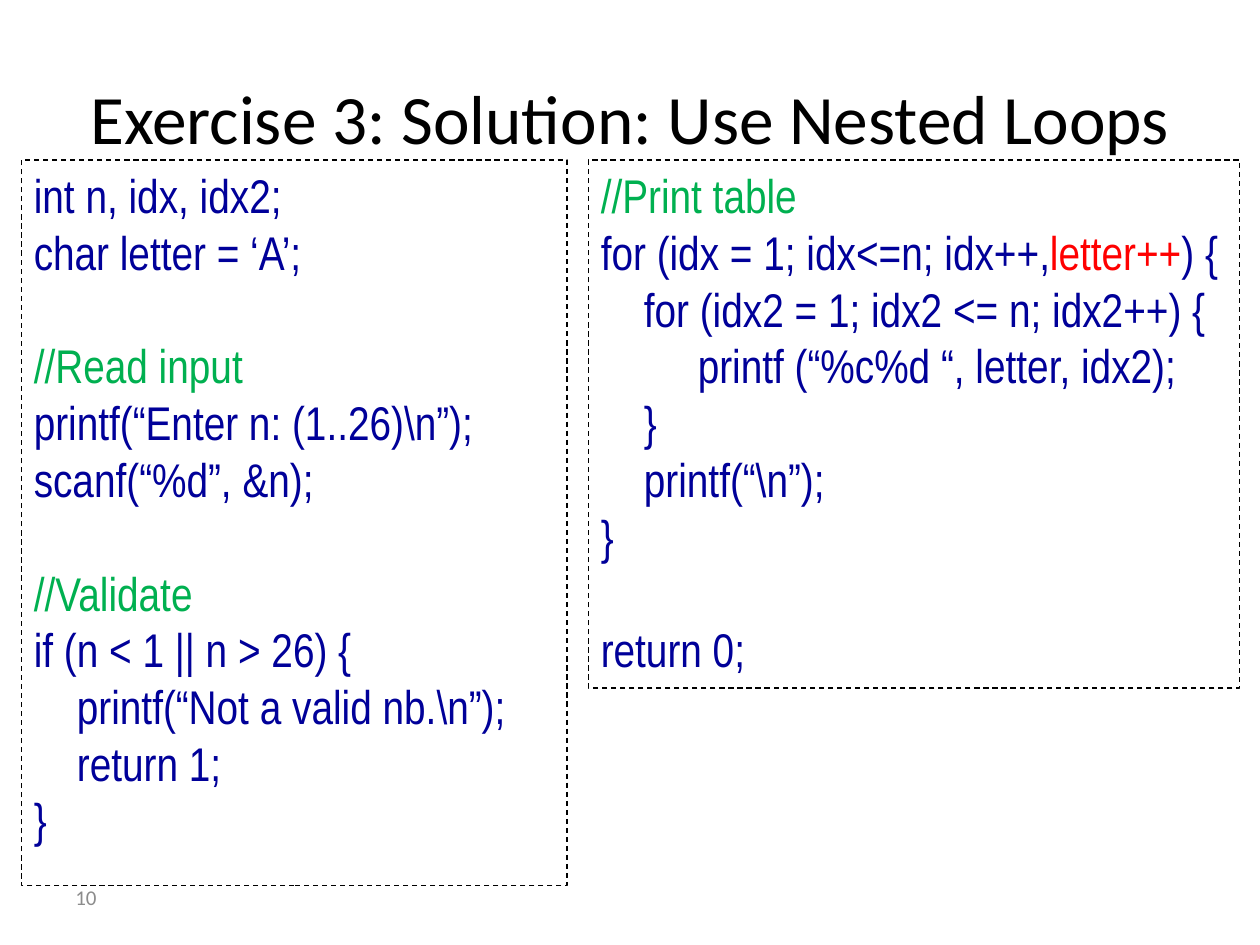
from pptx import Presentation
from pptx.dml.color import RGBColor
from pptx.enum.dml import MSO_LINE
from pptx.enum.shapes import MSO_SHAPE
from pptx.enum.text import MSO_ANCHOR, PP_ALIGN
from pptx.util import Inches, Pt

"""Build a slide that shows a nested-loop program in two code panels."""

CODE_COLOR, COMMENT_COLOR, ACCENT_COLOR = "000099", "00B050", "FF0000"
ACCENT = "letter++"
LINE_HEIGHT = 32.5

DECLARATIONS = """int n, idx, idx2;
char letter = ‘A’;

//Read input
printf(“Enter n: (1..26)\\n”);
scanf(“%d”, &n);

//Validate
if (n < 1 || n > 26) {
    printf(“Not a valid nb.\\n”);
    return 1;
}"""

TABLE_LOOPS = """//Print table
for (idx = 1; idx<=n; idx++,letter++) {
    for (idx2 = 1; idx2 <= n; idx2++) {
         printf (“%c%d “, letter, idx2);
    }
    printf(“\\n”);
}

return 0;"""


def set_font(font, name, size, color):
    font.name, font.size = name, Pt(size)
    font.color.rgb = RGBColor.from_string(color)


presentation = Presentation()
presentation.slide_width, presentation.slide_height = Inches(10), Inches(7.5)
slide = presentation.slides.add_slide(presentation.slide_layouts[5])

title = slide.shapes.title
title.left, title.top = Inches(0.5), Inches(0.3)
title.width, title.height = Inches(9), Inches(1.25)
title.text_frame.text = "Exercise 3: Solution: Use Nested Loops"
title.text_frame.vertical_anchor = MSO_ANCHOR.MIDDLE
title_paragraph = title.text_frame.paragraphs[0]
title_paragraph.alignment = PP_ALIGN.CENTER
set_font(title_paragraph.font, "Calibri", 39.6, "000000")

page_number = slide.shapes.add_textbox(Inches(0.5), Inches(6.92), Inches(2.33), Inches(0.4))
page_number.text_frame.word_wrap = True
page_number.text_frame.vertical_anchor = MSO_ANCHOR.MIDDLE
page_number.text_frame.text = "10"
set_font(page_number.text_frame.paragraphs[0].font, "Calibri", 12, "8C8C8C")

margin, panel_top = 0.17, 1.27
panel_left = margin
for code, width, height in [(DECLARATIONS, 4.33, 5.76), (TABLE_LOOPS, 5.17, 4.19)]:
    panel = slide.shapes.add_shape(
        MSO_SHAPE.RECTANGLE, Inches(panel_left), Inches(panel_top), Inches(width), Inches(height))
    panel_left += width + margin
    panel.shadow.inherit = False
    panel.fill.background()
    panel.line.color.rgb = RGBColor.from_string("000000")
    panel.line.width = Pt(0.75)
    panel.line.dash_style = MSO_LINE.DASH
    frame = panel.text_frame
    frame.word_wrap = True
    frame.vertical_anchor = MSO_ANCHOR.TOP
    paragraph = frame.paragraphs[0]
    for block_index, block in enumerate(code.split("\n\n")):
        for line_index, line in enumerate(block.split("\n")):
            if block_index or line_index:
                paragraph = frame.add_paragraph()
            if block_index and not line_index:
                paragraph.space_before = Pt(LINE_HEIGHT)
            paragraph.alignment = PP_ALIGN.LEFT
            color = COMMENT_COLOR if line.startswith("//") else CODE_COLOR
            set_font(paragraph.font, "Arial Narrow", 27, color)
            before, accent, after = line.partition(ACCENT)
            for text, run_color in [(before, color), (accent, ACCENT_COLOR), (after, color)]:
                if text:
                    run = paragraph.add_run()
                    run.text = text
                    set_font(run.font, "Arial Narrow", 27, run_color)

presentation.save("out.pptx")
